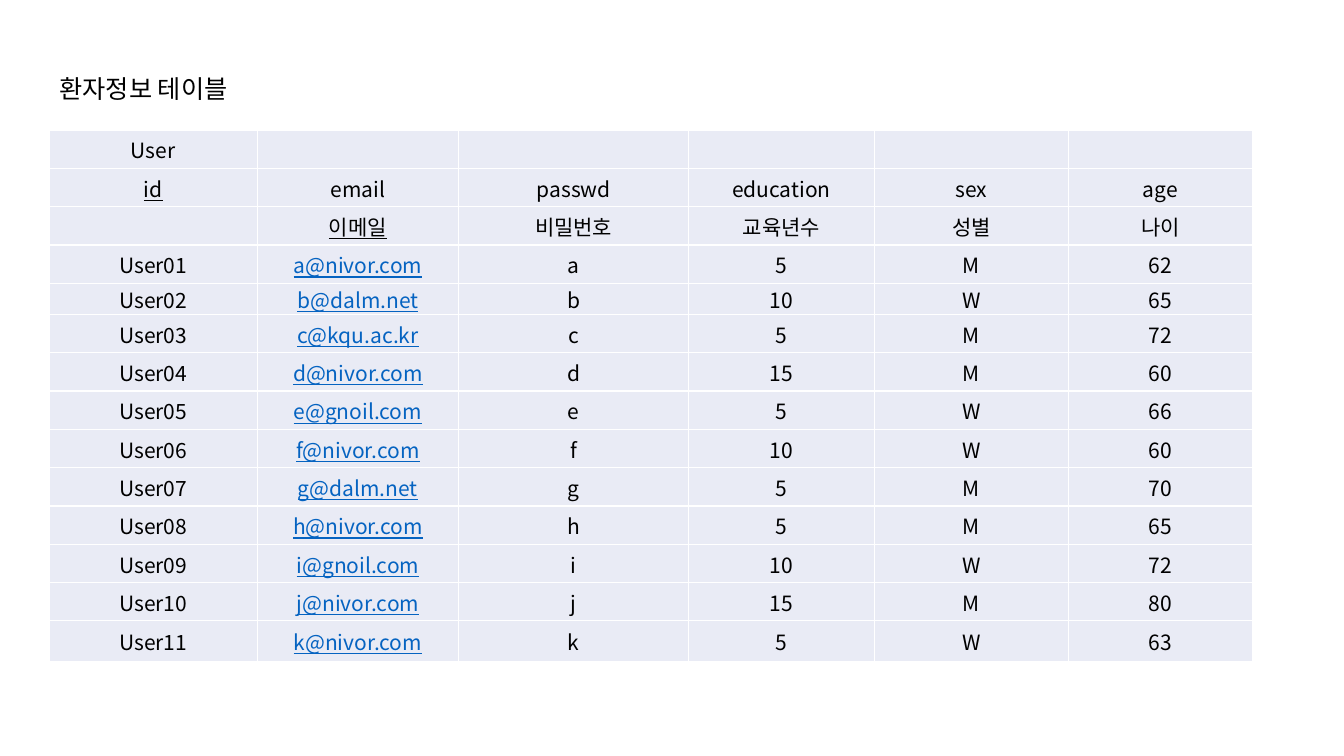
"""Build the patient information table slide."""
from dataclasses import dataclass

from lxml import etree
from pptx import Presentation
from pptx.dml.color import RGBColor
from pptx.enum.text import MSO_ANCHOR, MSO_AUTO_SIZE, PP_ALIGN
from pptx.oxml.ns import qn
from pptx.slide import Slide
from pptx.table import _Cell
from pptx.text.text import TextFrame
from pptx.util import Inches, Pt

LEFT, CENTER = PP_ALIGN.LEFT, PP_ALIGN.CENTER
TOP, MIDDLE = MSO_ANCHOR.TOP, MSO_ANCHOR.MIDDLE
GROW = MSO_AUTO_SIZE.SHAPE_TO_FIT_TEXT
TITLE_ONLY = 5


@dataclass(frozen=True)
class Theme:
    font: str = "Noto Sans CJK KR"
    ink: str = "000000"
    link: str = "0563C1"
    cell: str = "E9EBF5"
    rule: str = "FFFFFF"
    rule_width: float = 1
    title_size: float = 18
    cell_size: float = 15


@dataclass(frozen=True)
class Patient:
    email: str
    education: int
    sex: str
    age: int


THEME = Theme()
COLUMN_WIDTHS = (2.06, 2, 2.28, 1.84, 1.93, 1.82)
ROW_HEIGHT, SHORT_ROW_HEIGHT, LAST_ROW_HEIGHT = 0.38, 0.31, 0.4
SHORT_ROW = 4
HEADINGS = (
    ("User", "", "", "", "", ""),
    ("id", "email", "passwd", "education", "sex", "age"),
    ("", "이메일", "비밀번호", "교육년수", "성별", "나이"),
)
UNDERLINED_HEADINGS = ("id", "이메일")
PATIENTS = (
    Patient("a@nivor.com", 5, "M", 62),
    Patient("b@dalm.net", 10, "W", 65),
    Patient("c@kqu.ac.kr", 5, "M", 72),
    Patient("d@nivor.com", 15, "M", 60),
    Patient("e@gnoil.com", 5, "W", 66),
    Patient("f@nivor.com", 10, "W", 60),
    Patient("g@dalm.net", 5, "M", 70),
    Patient("h@nivor.com", 5, "M", 65),
    Patient("i@gnoil.com", 10, "W", 72),
    Patient("j@nivor.com", 15, "M", 80),
    Patient("k@nivor.com", 5, "W", 63),
)


def write(frame: TextFrame, text: str, *, size: float, color: str = THEME.ink,
          align: PP_ALIGN = CENTER, underline: bool = False) -> None:
    """Write one formatted line into a text frame."""
    paragraph = frame.paragraphs[0]
    paragraph.alignment = align
    run = paragraph.add_run()
    run.text = text
    run.font.size = Pt(size)
    run.font.underline = underline
    run.font.color.rgb = RGBColor.from_string(color)
    run.font.name = THEME.font
    east_asian = etree.SubElement(run.font._element, qn("a:ea"))
    east_asian.set("typeface", THEME.font)


def style_cell(cell: _Cell) -> None:
    """Set the fill, margins and borders of a cell."""
    cell.fill.solid()
    cell.fill.fore_color.rgb = RGBColor.from_string(THEME.cell)
    cell.vertical_anchor = MIDDLE
    cell.margin_left = cell.margin_right = cell.margin_top = Inches(0.01)
    cell.margin_bottom = 0
    properties = cell._tc.get_or_add_tcPr()
    for index, side in enumerate(("a:lnL", "a:lnR", "a:lnT", "a:lnB")):
        border = etree.Element(qn(side), w=str(Pt(THEME.rule_width)))
        fill = etree.SubElement(border, qn("a:solidFill"))
        etree.SubElement(fill, qn("a:srgbClr"), val=THEME.rule)
        properties.insert(index, border)


def patient_row(number: int, patient: Patient) -> tuple[str, ...]:
    """Return the texts of one patient's row."""
    password = patient.email[0]
    return (f"User{number:02}", patient.email, password,
            str(patient.education), patient.sex, str(patient.age))


def add_patient_table(slide: Slide) -> None:
    """Add the table of headings and patients."""
    rows = HEADINGS + tuple(patient_row(number, patient)
                            for number, patient in enumerate(PATIENTS, 1))
    heights = [ROW_HEIGHT] * len(rows)
    heights[SHORT_ROW] = SHORT_ROW_HEIGHT
    heights[-1] = LAST_ROW_HEIGHT
    table = slide.shapes.add_table(
        len(rows), len(COLUMN_WIDTHS), Inches(0.49), Inches(1.29),
        Inches(sum(COLUMN_WIDTHS)), Inches(sum(heights))).table
    table.first_row = table.horz_banding = False
    for column, width in zip(table.columns, COLUMN_WIDTHS):
        column.width = Inches(width)
    for table_row, height, texts in zip(table.rows, heights, rows):
        table_row.height = Inches(height)
        for cell, text in zip(table_row.cells, texts):
            style_cell(cell)
            if text:
                is_email = "@" in text
                write(cell.text_frame, text, size=THEME.cell_size,
                      color=THEME.link if is_email else THEME.ink,
                      underline=is_email or text in UNDERLINED_HEADINGS)


def add_title(slide: Slide) -> None:
    """Place and write the slide title."""
    title = slide.shapes.title
    title.left, title.top = Inches(0.49), Inches(0.68)
    title.width, title.height = Inches(2.06), Inches(0.4)
    frame = title.text_frame
    frame.word_wrap = False
    frame.auto_size = GROW
    frame.vertical_anchor = TOP
    write(frame, "환자정보 테이블", size=THEME.title_size, align=LEFT)


def main() -> None:
    """Build and save the presentation."""
    presentation = Presentation()
    presentation.slide_width = Inches(13.33)
    presentation.slide_height = Inches(7.5)
    slide = presentation.slides.add_slide(presentation.slide_layouts[TITLE_ONLY])
    add_title(slide)
    add_patient_table(slide)
    presentation.save("out.pptx")


if __name__ == "__main__":
    main()
